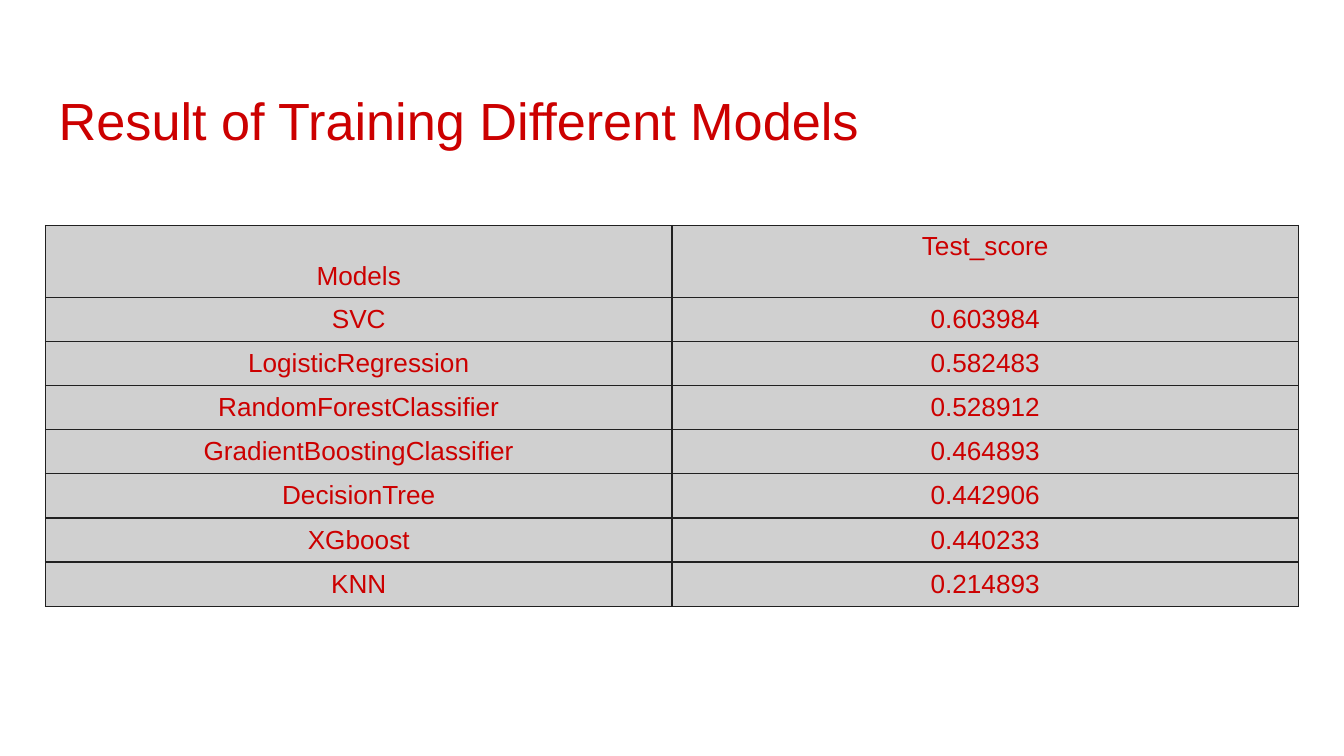
from typing import NamedTuple

from lxml import etree
from pptx import Presentation
from pptx.dml.color import RGBColor
from pptx.enum.text import MSO_ANCHOR, PP_ALIGN
from pptx.oxml.ns import qn
from pptx.util import Cm, Pt

TOP, MIDDLE, BOTTOM = MSO_ANCHOR.TOP, MSO_ANCHOR.MIDDLE, MSO_ANCHOR.BOTTOM
LEFT, CENTER = PP_ALIGN.LEFT, PP_ALIGN.CENTER

RED = RGBColor(0xCC, 0x00, 0x00)
GRAY = RGBColor(0xD0, 0xD0, 0xD0)
DARK = RGBColor(0x20, 0x20, 0x20)
FONT = "Arial"

MARGIN_X = Cm(0.86)
CONTENT_WIDTH = Cm(23.68)
TABLE_TOP = Cm(4.26)
HEADER_HEIGHT = Cm(1.36)
ROW_HEIGHT = Cm(0.81)
CELL_INSET = Cm(0.12)
TITLE_INSET = Cm(0.25)


class Result(NamedTuple):
    model: str
    score: str


HEADER = Result("Models", "Test_score")
RESULTS = [
    Result("SVC", "0.603984"),
    Result("LogisticRegression", "0.582483"),
    Result("RandomForestClassifier", "0.528912"),
    Result("GradientBoostingClassifier", "0.464893"),
    Result("DecisionTree", "0.442906"),
    Result("XGboost", "0.440233"),
    Result("KNN", "0.214893"),
]


def write(frame, text: str, *, size: int, align=LEFT, spacing: float = 1.0) -> None:
    frame.word_wrap = True
    paragraph = frame.paragraphs[0]
    paragraph.alignment = align
    paragraph.line_spacing = spacing
    run = paragraph.add_run()
    run.text = text
    run.font.name = FONT
    run.font.size = Pt(size)
    run.font.color.rgb = RED


def add_borders(cell) -> None:
    properties = cell._tc.get_or_add_tcPr()
    for side in ("a:lnL", "a:lnR", "a:lnT", "a:lnB"):
        line = etree.SubElement(properties, qn(side), w=str(Pt(0.75)))
        fill = etree.SubElement(line, qn("a:solidFill"))
        etree.SubElement(fill, qn("a:srgbClr"), val=str(DARK))


def fill_cell(cell, text: str, anchor) -> None:
    add_borders(cell)
    cell.fill.solid()
    cell.fill.fore_color.rgb = GRAY
    cell.margin_top = cell.margin_bottom = CELL_INSET
    cell.vertical_anchor = anchor
    write(cell.text_frame, text, size=14, align=CENTER)


def add_title(slide, text: str) -> None:
    title = slide.shapes.add_textbox(MARGIN_X, Cm(1.24), CONTENT_WIDTH, Cm(1.6))
    frame = title.text_frame
    frame.margin_left = frame.margin_right = TITLE_INSET
    frame.margin_top = frame.margin_bottom = TITLE_INSET
    write(frame, text, size=28, spacing=1.15)


def add_results(slide, results: list[Result]) -> None:
    height = HEADER_HEIGHT + ROW_HEIGHT * len(results)
    table = slide.shapes.add_table(
        len(results) + 1, len(HEADER), MARGIN_X, TABLE_TOP, CONTENT_WIDTH, height
    ).table
    for index, result in enumerate([HEADER, *results]):
        is_header = index == 0
        table.rows[index].height = HEADER_HEIGHT if is_header else ROW_HEIGHT
        anchors = (BOTTOM, TOP) if is_header else (MIDDLE, MIDDLE)
        for column, (text, anchor) in enumerate(zip(result, anchors)):
            fill_cell(table.cell(index, column), text, anchor)


def main() -> None:
    presentation = Presentation()
    presentation.slide_width = Cm(25.4)
    presentation.slide_height = Cm(14.29)
    slide = presentation.slides.add_slide(presentation.slide_layouts[6])
    add_title(slide, "Result of Training Different Models")
    add_results(slide, RESULTS)
    presentation.save("out.pptx")


if __name__ == "__main__":
    main()
